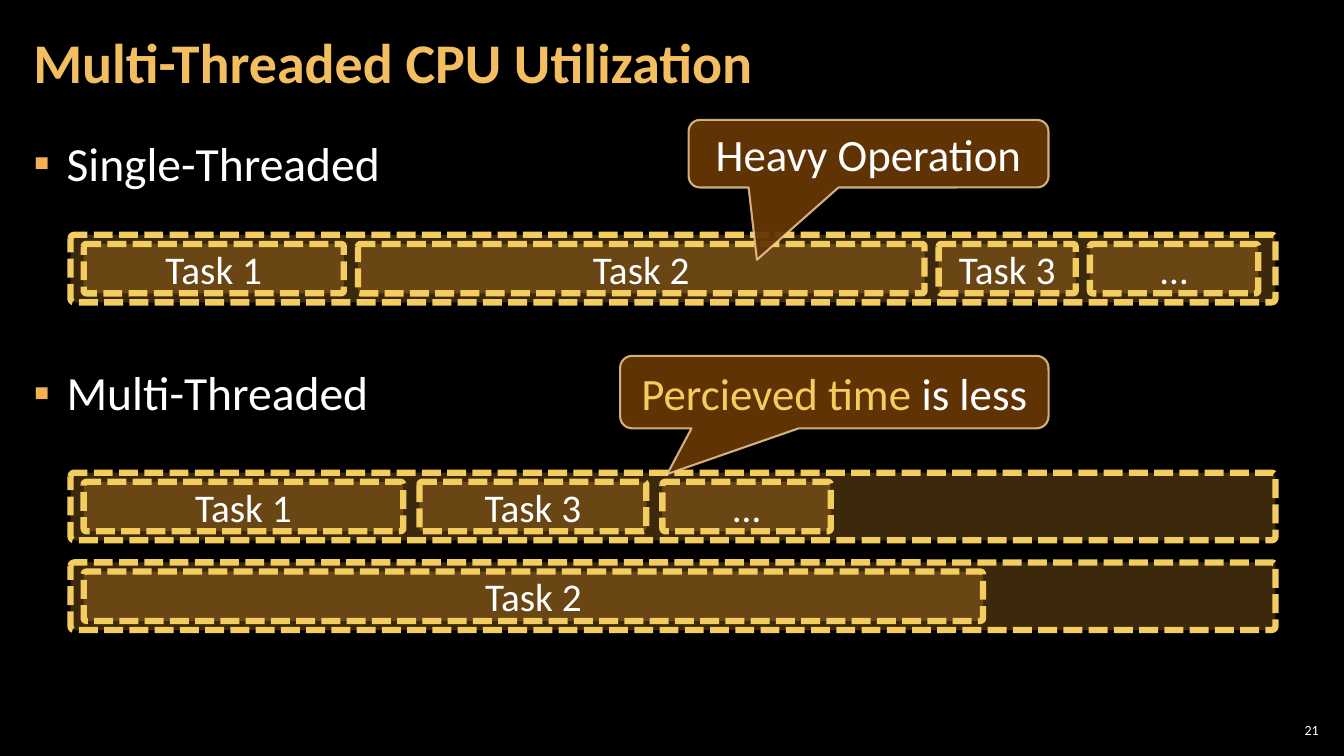
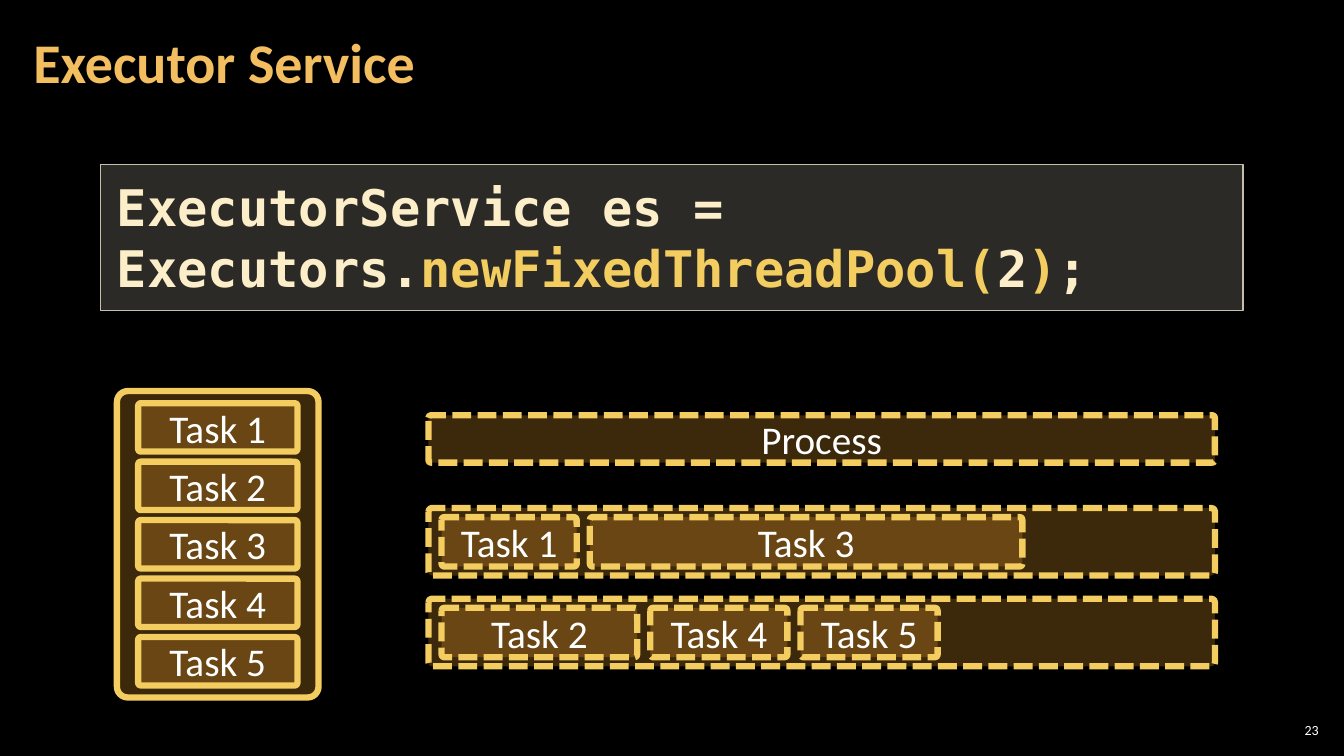
import pptx
import pptx.util
import pptx.dml.color
import pptx.enum.dml
import pptx.enum.shapes
import pptx.enum.text
import pptx.oxml.ns
import lxml.etree

SHAPE = pptx.enum.shapes.MSO_SHAPE
ALIGN = pptx.enum.text.PP_ALIGN
ANCHOR = pptx.enum.text.MSO_ANCHOR
DASHED = pptx.enum.dml.MSO_LINE.SQUARE_DOT
qn = pptx.oxml.ns.qn

EMU_PER_PX = 9144
SANS, MONO = "Calibri", "DejaVu Sans Mono"
BLACK, WHITE = "000000", "FFFFFF"
TITLE_GOLD, BULLET_GOLD, YELLOW, AMBER = "F3BE60", "F2B254", "F3CD60", "F0A22E"
BROWN, CALLOUT_EDGE = "663606", "F8D49E"
CODE_TEXT, CODE_FILL, CODE_EDGE = "FBEEC9", "D9D5C7", "C7BFAC"


def px(*lengths):
    return [length * EMU_PER_PX for length in lengths]


def rgb(hex_code):
    return pptx.dml.color.RGBColor.from_string(hex_code)


def paint(fill, owner, hex_code, opacity=100):
    """Fill solidly; owner is the XML element that holds the fill."""
    fill.solid()
    fill.fore_color.rgb = rgb(hex_code)
    if opacity < 100:
        color = owner.find(qn("a:solidFill"))[0]
        lxml.etree.SubElement(color, qn("a:alpha"), val=str(opacity * 1000))


def set_font(font, size, color, name=SANS, bold=False):
    font.name, font.size, font.bold = name, pptx.util.Pt(size), bold
    font.color.rgb = rgb(color)


class Deck:
    """Holds the shared style and the slide being built."""

    def __init__(self):
        self.prs = pptx.Presentation()
        self.prs.slide_width, self.prs.slide_height = px(1333, 750)
        background = self.prs.slide_master.background.fill
        background.solid()
        background.fore_color.rgb = rgb(BLACK)
        self.slide = None

    def start(self, layout, title, number):
        self.slide = self.prs.slides.add_slide(self.prs.slide_layouts.get_by_name(layout))
        heading = self.slide.shapes.title
        self.place(heading, 21, 4, 1047, 121)
        frame = self.frame(heading, (12, 4), ANCHOR.MIDDLE)
        paragraph = self.add_text(frame, [[title]], 40, TITLE_GOLD, ALIGN.LEFT, bold=True)
        paragraph.line_spacing = 0.9

        page = self.slide.shapes.add_textbox(*px(1265, 714, 47, 21))
        self.add_text(self.frame(page, (4, 4), ANCHOR.MIDDLE), [[number]], 10, WHITE, ALIGN.RIGHT)

    def place(self, shape, *box):
        shape.left, shape.top, shape.width, shape.height = px(*box)

    def frame(self, shape, insets, anchor):
        frame = shape.text_frame
        frame.word_wrap = True
        frame.auto_size = pptx.enum.text.MSO_AUTO_SIZE.NONE
        frame.vertical_anchor = anchor
        across, down = px(*insets)
        frame.margin_left = frame.margin_right = across
        frame.margin_top = frame.margin_bottom = down
        return frame

    def add_text(self, frame, lines, size, color, align, name=SANS, bold=False):
        """Add lines of runs; a run is a text or a (text, color) pair."""
        paragraph = frame.paragraphs[0]
        paragraph.alignment = align
        set_font(paragraph.font, size, color, name, bold)
        for index, line in enumerate(lines):
            if index:
                paragraph.add_line_break()
            for part in line:
                text, accent = (part, None) if isinstance(part, str) else part
                run = paragraph.add_run()
                run.text = text
                if accent:
                    run.font.color.rgb = rgb(accent)
        return paragraph

    def bullets(self, topics, gap):
        """List the topics, with gap points before each one after the first."""
        body = self.slide.placeholders[1]
        self.place(body, 21, 126, 1291, 609)
        frame = self.frame(body, (12, 4), ANCHOR.TOP)
        indent, = px(33)
        for index, topic in enumerate(topics):
            paragraph = frame.add_paragraph() if index else frame.paragraphs[0]
            paragraph.text = topic
            set_font(paragraph.font, 34, WHITE)
            paragraph.line_spacing = 1.05
            paragraph.space_before = pptx.util.Pt(gap if index else 6)
            paragraph.space_after = pptx.util.Pt(6)
            props = paragraph._p.get_or_add_pPr()
            props.set("marL", str(indent))
            props.set("indent", str(-indent))
            color = lxml.etree.Element(qn("a:buClr"))
            lxml.etree.SubElement(color, qn("a:srgbClr"), val=BULLET_GOLD)
            mark = lxml.etree.Element(qn("a:buChar"), char="▪")
            defaults = props.find(qn("a:defRPr"))
            defaults.addprevious(color)
            defaults.addprevious(mark)

    def panel(self, kind, box, fill, edge, weight, adjustments=()):
        """Add a shape; fill and edge are (color, opacity) pairs."""
        shape = self.slide.shapes.add_shape(kind, *px(*box))
        shape.shadow.inherit = False
        for index, value in enumerate(adjustments):
            shape.adjustments[index] = value
        props = shape._element.spPr
        paint(shape.fill, props, *fill)
        shape.line.width = pptx.util.Pt(weight)
        paint(shape.line.fill, props.find(qn("a:ln")), *edge)
        return shape

    def bar(self, box, label=None, dashed=True):
        shape = self.panel(SHAPE.ROUNDED_RECTANGLE, box, (AMBER, 25), (YELLOW, 100), 4.5, [0.054])
        if dashed:
            shape.line.dash_style = DASHED
        if label:
            frame = self.frame(shape, (10, 5), ANCHOR.MIDDLE)
            self.add_text(frame, [[label]], 28, WHITE, ALIGN.CENTER)

    def thread(self, left, top, width, tasks, gap=0):
        """Draw a thread's time line with its (label, width) tasks in a row."""
        self.bar((left, top, width, 67))
        start = left + 13
        for label, duration in tasks:
            self.bar((start, top + 9, duration, 49), label)
            start += duration + gap

    def callout(self, box, pointer, runs):
        shape = self.panel(SHAPE.ROUNDED_RECTANGULAR_CALLOUT, box, (BROWN, 95),
                           (CALLOUT_EDGE, 80), 1.5, [*pointer, 0.167])
        frame = self.frame(shape, (10, 5), ANCHOR.MIDDLE)
        self.add_text(frame, [runs], 32, WHITE, ALIGN.CENTER)

    def code(self, box, lines):
        shape = self.panel(SHAPE.RECTANGLE, box, (CODE_FILL, 20), (CODE_EDGE, 100), 1)
        frame = self.frame(shape, (16, 12), ANCHOR.TOP)
        self.add_text(frame, lines, 36, CODE_TEXT, ALIGN.LEFT, MONO, True)


def utilization(deck):
    deck.start("Title and Content", "Multi-Threaded CPU Utilization", "21")
    deck.bullets(["Single-Threaded", "Multi-Threaded"], 115)
    deck.thread(70, 233, 1195,
                [("Task 1", 258), ("Task 2", 562), ("Task 3", 136), ("…", 167)], 14)
    deck.thread(70, 469, 1195, [("Task 1", 317), ("Task 3", 225), ("…", 167)], 16)
    deck.thread(70, 558, 1195, [("Task 2", 892)])
    deck.callout((683, 119, 357, 67), (-0.31, 1.57), ["Heavy Operation"])
    deck.callout((615, 353, 425, 72), (-0.39, 1.13), [("Percieved time", YELLOW), " is less"])


def executor_service(deck):
    deck.start("Title Only", "Executor Service", "23")
    deck.code((100, 163, 1133, 145), [
        ["ExecutorService es ="],
        ["Executors.", ("newFixedThreadPool(", YELLOW), "2", (")", YELLOW), ";"],
    ])
    deck.bar((116, 388, 200, 304), dashed=False)
    for index in range(5):
        deck.bar((137, 400 + 58 * index, 158, 48), f"Task {index + 1}", dashed=False)
    deck.bar((425, 412, 780, 47), "Process")
    deck.thread(425, 504, 780, [("Task 1", 134), ("Task 3", 429)], 13)
    deck.thread(425, 594, 780, [("Task 2", 194), ("Task 4", 136), ("Task 5", 136)], 13)


def main():
    deck = Deck()
    utilization(deck)
    executor_service(deck)
    deck.prs.save("out.pptx")


if __name__ == "__main__":
    main()
